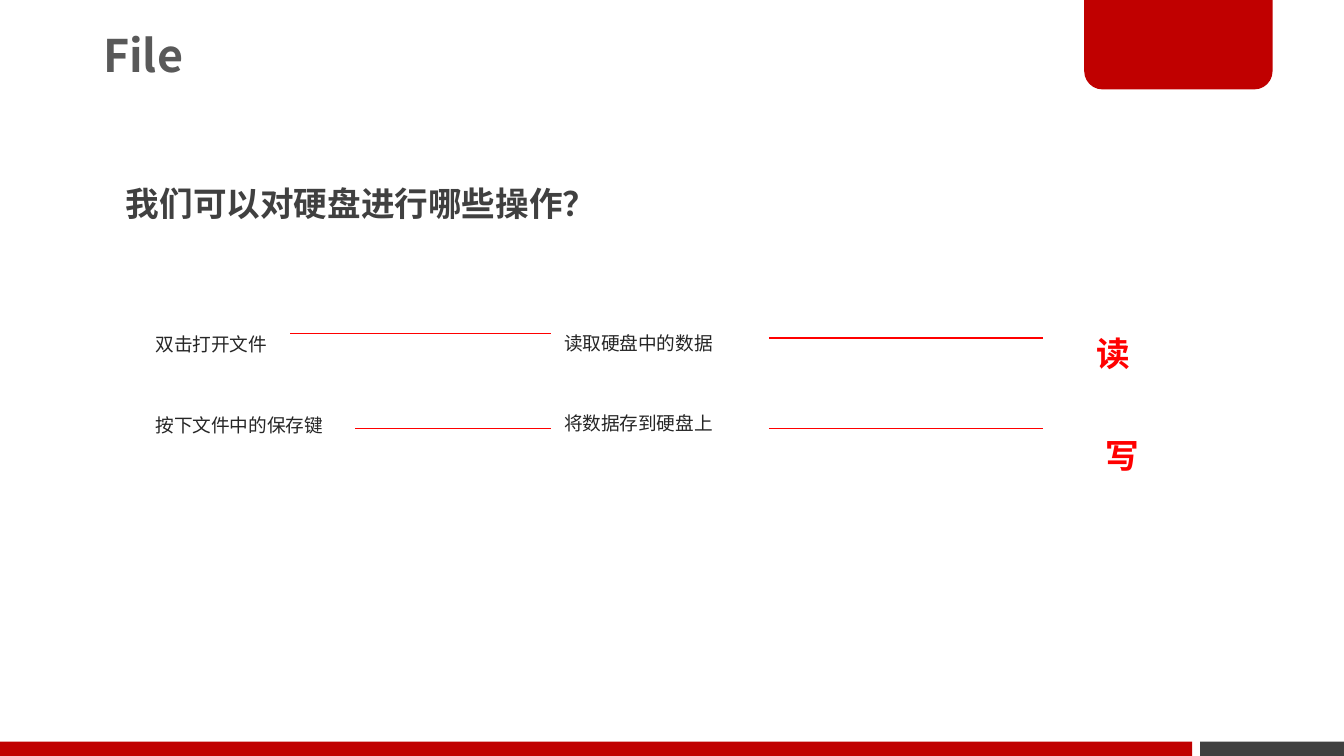
from pptx import Presentation
from pptx.dml.color import RGBColor
from pptx.enum.shapes import MSO_CONNECTOR, MSO_SHAPE
from pptx.enum.text import MSO_ANCHOR
from pptx.oxml.ns import qn
from pptx.util import Cm, Pt
from lxml import etree

RECT = MSO_SHAPE.RECTANGLE
TAB = MSO_SHAPE.ROUND_2_SAME_RECTANGLE
LINE = MSO_CONNECTOR.STRAIGHT
TOP, MIDDLE = MSO_ANCHOR.TOP, MSO_ANCHOR.MIDDLE
FONT = "Noto Sans CJK SC"
DARK, CRIMSON, RED = "404040", "C00000", "FF0000"


def rgb(color):
    return RGBColor.from_string(color)


def add_text(at, lines, size, color, bold, spacing, gap=0, anchor=TOP):
    """Add a text box at (left, top, width, height) in cm, gap points between lines."""
    tf = s.shapes.add_textbox(*map(Cm, at)).text_frame
    tf.word_wrap = True
    tf.vertical_anchor = anchor
    for i, line in enumerate(lines):
        p = tf.paragraphs[0] if i == 0 else tf.add_paragraph()
        p.line_spacing = spacing
        p.space_before = Pt(gap if i else 0)
        p.font.size, p.font.bold, p.font.name = Pt(size), bold, FONT
        p.font.color.rgb = rgb(color)
        r = p.add_run()
        r.text = line
        # East Asian glyphs take their typeface from the run
        etree.SubElement(r.font._element, qn("a:ea"), typeface=FONT)


prs = Presentation()
prs.slide_width, prs.slide_height = Cm(25.4), Cm(14.29)
s = prs.slides.add_slide(prs.slide_layouts[6])

# Footer bars and the corner tab
for kind, at, color in [
    (RECT, (22.68, 14.02, 2.72, 0.27), DARK),
    (TAB, (20.49, -0.04, 3.56, 1.73), CRIMSON),
    (RECT, (0, 14.02, 22.53, 0.27), CRIMSON),
]:
    sp = s.shapes.add_shape(kind, *map(Cm, at))
    sp.shadow.inherit = False
    sp.fill.solid()
    sp.fill.fore_color.rgb = rgb(color)
    sp.line.fill.background()
    if kind == TAB:
        sp.rotation = 180
        sp.adjustments[0] = 0.2

# Title and question
add_text((1.7, -0.04, 14.96, 2.26), ["File"], 24, "595959", True, 0.9, anchor=MIDDLE)
add_text((2.13, 2.95, 19.71, 1.4), ["我们可以对硬盘进行哪些操作？"], 18, DARK, True, 1.5)

# Actions, their effect on the disk, and the name of each operation
for at, lines in [
    ((2.69, 5.74, 4.6, 2.79), ["双击打开文件", "按下文件中的保存键"]),
    ((10.41, 5.72, 5.31, 2.79), ["读取硬盘中的数据", "将数据存到硬盘上"]),
]:
    add_text(at, lines, 10, "262626", False, 2, gap=19.2)
for left, top, word in [(20.47, 5.41, "读"), (20.65, 7.34, "写")]:
    add_text((left, top, 1.19, 1.78), [word], 18, RED, True, 2)

# Lines joining the steps of each row
for x1, x2, y in [
    (5.49, 10.41, 6.3),
    (14.53, 19.71, 6.39),
    (6.71, 10.41, 8.1),
    (14.53, 19.71, 8.1),
]:
    c = s.shapes.add_connector(LINE, Cm(x1), Cm(y), Cm(x2), Cm(y))
    c.line.color.rgb = rgb(RED)
    c.line.width = Pt(0.75)
    etree.SubElement(c._element.spPr, qn("a:effectLst"))

prs.save("out.pptx")
